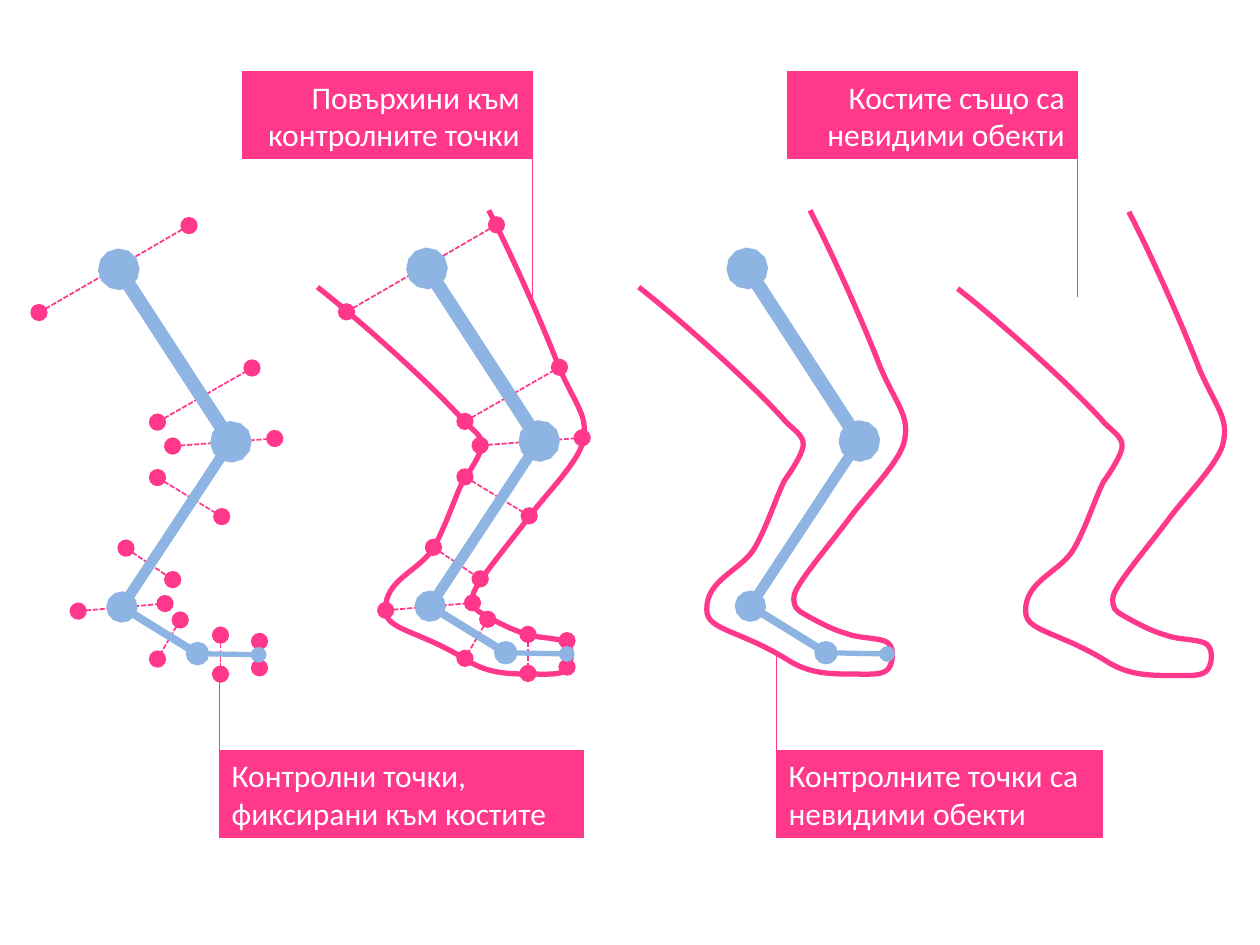
from dataclasses import dataclass

from lxml import etree
from pptx import Presentation
from pptx.dml.color import RGBColor
from pptx.enum.dml import MSO_LINE
from pptx.enum.shapes import MSO_CONNECTOR, MSO_SHAPE
from pptx.enum.text import MSO_ANCHOR, PP_ALIGN
from pptx.oxml.ns import qn
from pptx.util import Pt

STRAIGHT = MSO_CONNECTOR.STRAIGHT
RECTANGLE = MSO_SHAPE.RECTANGLE
DASH = MSO_LINE.SQUARE_DOT
TOP = MSO_ANCHOR.TOP
LEFT, RIGHT = PP_ALIGN.LEFT, PP_ALIGN.RIGHT
BLANK_LAYOUT = 6


@dataclass(frozen=True)
class Theme:
    skin: RGBColor = RGBColor(0xFF, 0x38, 0x8C)
    bone: RGBColor = RGBColor(0x8E, 0xB4, 0xE3)
    text: RGBColor = RGBColor(0xFF, 0xFF, 0xFF)
    font: str = "Calibri"
    label_size: float = 18
    skin_width: float = 3
    rib_width: float = 1
    hairline: float = 0.25


# Leg outline: a start point, then cubic curves (two controls and an end)
OUTLINE_START = (0, 43.9)
OUTLINE_CURVES = [
    ((29.5, 67), (70.6, 105.1), (84.2, 121)),
    ((88.6, 125.3), (94.3, 128.9), (94, 133.9)),
    ((94, 139.7), (83.5, 154.1), (83.5, 154.1)),
    ((79.2, 162), (73.4, 180.7), (66.2, 193)),
    ((58.7, 205.9), (38.2, 211), (38.9, 228.5)),
    ((38.9, 239.8), (57.2, 239.8), (84.2, 256.3)),
    ((96.1, 264.2), (106.9, 265), (121.3, 265)),
    ((131, 265), (138.2, 265.7), (141.8, 262.8)),
    ((145.4, 259.9), (146.5, 250.6), (142.6, 247.3)),
    ((139, 244.1), (126, 244.8), (118.8, 241.9)),
    ((111.2, 239.8), (103, 235.4), (97.9, 232.6)),
    ((92.9, 229.7), (89.3, 228.2), (88.9, 224.6)),
    ((88.2, 221), (88.2, 218.9), (93.6, 211)),
    ((99.4, 202.3), (112, 187.2), (121.7, 174.2)),
    ((131.4, 161.3), (150.1, 142.6), (151.9, 131.4)),
    ((154.8, 117.4), (147.6, 111.6), (138.2, 90)),
    ((129.6, 67.7), (113, 29.5), (97.9, 0)),
]

# Joints and control points, measured from the hip
HIP, KNEE, ANKLE, BALL, TOE = (0, 0), (64.1, 98.6), (1.8, 193), (45, 219.6), (79.9, 220.3)
BONES = [(HIP, KNEE, 8), (ANKLE, KNEE, 6), (ANKLE, BALL, 4.5), (TOE, BALL, 3)]
RIBS = [
    ((-45.4, 24.5), (40.3, -25.2)),
    ((22.3, 87.1), (76.3, 56.2)),
    ((22.3, 118.8), (59, 141.1)),
    ((4.3, 159.1), (31, 177.1)),
    ((35.3, 200.2), (22.3, 222.5)),
    ((58.3, 208.8), (58.3, 231.1)),
    ((80.6, 212.4), (80.6, 227.5)),
    ((31, 100.8), (89.3, 96.5)),
    ((-23, 195.1), (26.6, 190.8)),
]

# Legs from left to right: origins of the outline, control points and bones
LEGS = [
    (None, (67.7, 154.1), (67.9, 153.9)),
    ((181.4, 120.2), (243.4, 153.7), (244, 153.4)),
    ((365, 120.2), None, (427, 153.4)),
    ((547.2, 121), None, None),
]

# Callouts: text, left, top, width, far end of the leader, alignment
BOX_HEIGHT = 49.7
CALLOUTS = [
    ("Контролни точки, фиксирани към костите", 125.3, 428.7, 208, 388, LEFT),
    ("Повърхини към контролните точки", 138.6, 40.8, 165.6, 170, RIGHT),
    ("Контролните точки са невидими обекти", 443.5, 428.7, 186.5, 373, LEFT),
    ("Костите също са невидими обекти", 450, 40.8, 165.6, 170, RIGHT),
]


def shift(point, origin):
    return point[0] + origin[0], point[1] + origin[1]


class Drawing:
    def __init__(self, page, theme):
        self.page = page
        self.theme = theme

    def line(self, holder, start, end, color, width, dot=None, dash=None):
        """A straight line, with round ends of the given size if asked for."""
        link = holder.add_connector(STRAIGHT, *(Pt(v) for v in (*start, *end)))
        link.line.color.rgb = color
        link.line.width = Pt(width)
        if dash:
            link.line.dash_style = dash
        if dot:
            outline = link.line._get_or_add_ln()
            for tag in ("a:headEnd", "a:tailEnd"):
                etree.SubElement(outline, qn(tag), type="oval", w=dot, len=dot)
        etree.SubElement(link._element.spPr, qn("a:effectLst"))

    def skin(self, origin):
        points = [OUTLINE_START, *(point for curve in OUTLINE_CURVES for point in curve)]
        start, *rest = [tuple(Pt(v) for v in shift(point, origin)) for point in points]
        builder = self.page.shapes.build_freeform(*start)
        builder.add_line_segments(rest, close=False)
        shape = builder.convert_to_shape()
        self.bend(shape)
        shape.shadow.inherit = False
        shape.fill.background()
        shape.line.color.rgb = self.theme.skin
        shape.line.width = Pt(self.theme.skin_width)

    def bend(self, shape):
        """Turn each three line segments into one cubic curve."""
        segments = list(shape._element.iter(qn("a:lnTo")))
        for index in range(0, len(segments), 3):
            curve = etree.Element(qn("a:cubicBezTo"))
            segments[index].addprevious(curve)
            for segment in segments[index:index + 3]:
                curve.append(segment[0])
                segment.getparent().remove(segment)

    def ribs(self, hip):
        for start, end in RIBS:
            self.line(self.page.shapes, shift(start, hip), shift(end, hip),
                      self.theme.skin, self.theme.rib_width, "lg", DASH)

    def bones(self, hip):
        group = self.page.shapes.add_group_shape()
        for start, end, width in BONES:
            self.line(group.shapes, shift(start, hip), shift(end, hip),
                      self.theme.bone, width, "med")

    def callout(self, text, left, top, width, leader_end, align):
        theme = self.theme
        group = self.page.shapes.add_group_shape()
        box = group.shapes.add_shape(RECTANGLE, Pt(left), Pt(top), Pt(width), Pt(BOX_HEIGHT))
        box.shadow.inherit = False
        box.fill.solid()
        box.fill.fore_color.rgb = theme.skin
        box.line.color.rgb = theme.skin
        box.line.width = Pt(theme.hairline)
        frame = box.text_frame
        frame.word_wrap = True
        frame.vertical_anchor = TOP
        para = frame.paragraphs[0]
        para.text = text
        para.alignment = align
        para.space_before = Pt(0.2 * theme.label_size)
        para.font.name = theme.font
        para.font.size = Pt(theme.label_size)
        para.font.color.rgb = theme.text
        # The leader runs along the box edge and on to the leg
        edge = left + width if align == RIGHT else left
        far_side = top if leader_end > top else top + BOX_HEIGHT
        self.line(group.shapes, (edge, leader_end), (edge, far_side),
                  theme.skin, theme.hairline)


def main():
    deck = Presentation()
    deck.slide_width, deck.slide_height = Pt(720), Pt(540)
    page = deck.slides.add_slide(deck.slide_layouts[BLANK_LAYOUT])
    drawing = Drawing(page, Theme())

    # Four stages of the leg
    for skin_origin, rib_origin, bone_origin in LEGS:
        if skin_origin:
            drawing.skin(skin_origin)
        if rib_origin:
            drawing.ribs(rib_origin)
        if bone_origin:
            drawing.bones(bone_origin)

    # Explanations
    for callout in CALLOUTS:
        drawing.callout(*callout)

    deck.save("out.pptx")


if __name__ == "__main__":
    main()
